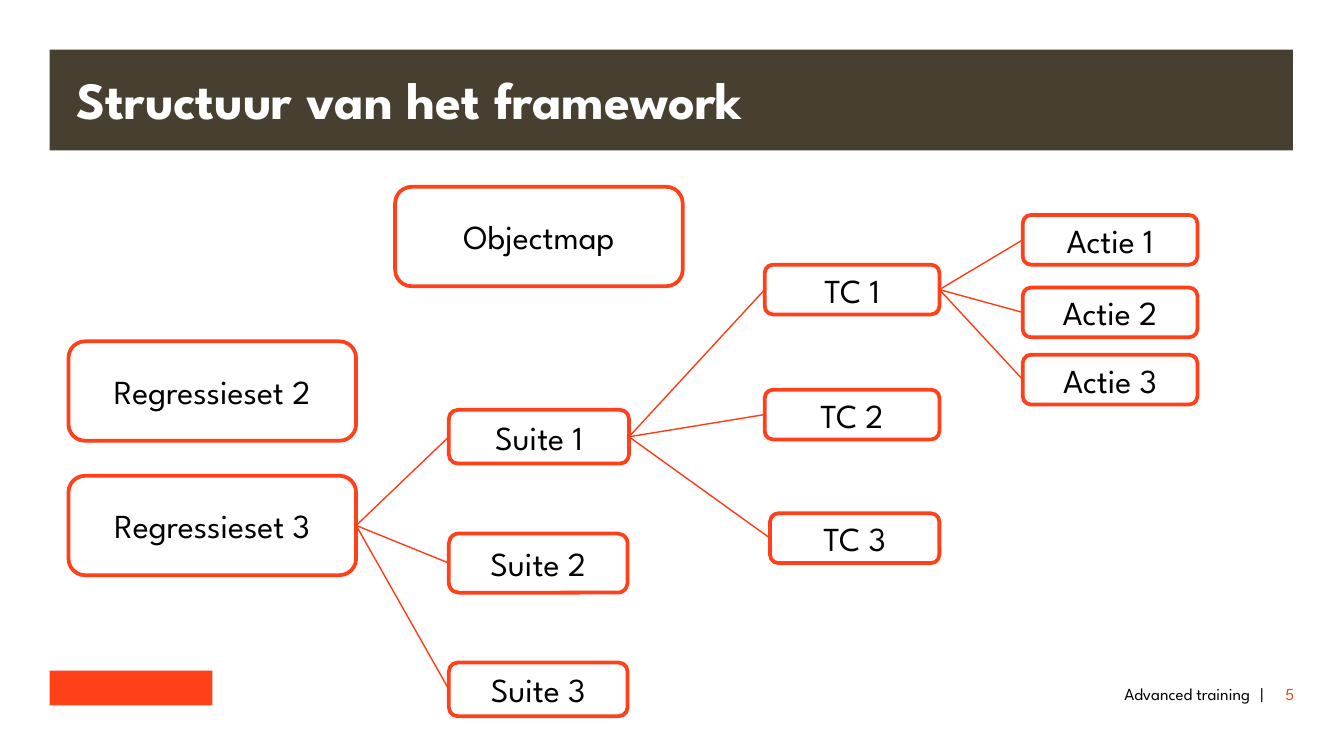
"""Build a slide with a tree of regression sets, suites, test cases and actions."""
import pptx
import pptx.dml.color
import pptx.enum.shapes
import pptx.enum.text
import pptx.oxml.ns
import pptx.util
from lxml import etree

Inches = pptx.util.Inches
Pt = pptx.util.Pt
SHAPE = pptx.enum.shapes.MSO_SHAPE
ALIGN = pptx.enum.text.PP_ALIGN
ANCHOR = pptx.enum.text.MSO_ANCHOR

FONT = "League Spartan"
COLORS = {
    "band": "474030",
    "accent": "FF4019",
    "link": "FF3B13",
    "white": "FFFFFF",
    "black": "000000",
}
BOXES = {
    "Objectmap": (2.94, 1.39, 2.14, 0.74),
    "Regressieset 2": (0.51, 2.54, 2.14, 0.74),
    "Regressieset 3": (0.51, 3.54, 2.14, 0.74),
    "Suite 1": (3.34, 3.05, 1.34, 0.4),
    "Suite 2": (3.34, 3.97, 1.33, 0.44),
    "Suite 3": (3.34, 4.93, 1.33, 0.4),
    "TC 1": (5.69, 1.97, 1.3, 0.37),
    "TC 2": (5.69, 2.9, 1.3, 0.37),
    "TC 3": (5.73, 3.82, 1.26, 0.37),
    "Actie 1": (7.61, 1.6, 1.3, 0.37),
    "Actie 2": (7.61, 2.14, 1.3, 0.37),
    "Actie 3": (7.61, 2.64, 1.3, 0.37),
}
BRANCHES = {"Regressieset 3": "Suite", "Suite 1": "TC", "TC 1": "Actie"}
FOOTER = [
    ("Advanced training", (2.06, 5.04, 7.24, 0.21), ALIGN.RIGHT, "black"),
    ("|", (9.3, 5.04, 0.18, 0.21), ALIGN.CENTER, "black"),
    ("5", (9.39, 5.04, 0.24, 0.21), ALIGN.RIGHT, "accent"),
]


def rgb(name):
    return pptx.dml.color.RGBColor.from_string(COLORS[name])


def write(sp, text, size=18, color="black", bold=False, align=ALIGN.CENTER,
          anchor=ANCHOR.MIDDLE, margins=(0.1, 0.05), spacing=None):
    tf = sp.text_frame
    tf.word_wrap = True
    tf.vertical_anchor = anchor
    tf.margin_left = tf.margin_right = Inches(margins[0])
    tf.margin_top = tf.margin_bottom = Inches(margins[1])
    p = tf.paragraphs[0]
    p.alignment = align
    if spacing:
        p.line_spacing = Pt(spacing)
    r = p.add_run()
    r.text = text
    r.font.name = FONT
    r.font.size = Pt(size)
    r.font.bold = bold
    r.font.color.rgb = rgb(color)


def add_box(s, kind, place, fill, line=None):
    sp = s.shapes.add_shape(kind, *map(Inches, place))
    sp.shadow.inherit = False
    sp.fill.solid()
    sp.fill.fore_color.rgb = rgb(fill)
    if line:
        sp.line.color.rgb = rgb(line)
        sp.line.width = Pt(2)
    else:
        sp.line.fill.background()
    return sp


def add_node(s, text, place):
    sp = add_box(s, SHAPE.ROUNDED_RECTANGLE, place, "white", "accent")
    write(sp, text)
    return sp


def add_link(s, parent, child):
    link = s.shapes.add_connector(
        pptx.enum.shapes.MSO_CONNECTOR.STRAIGHT, 0, 0, 0, 0)
    link.begin_connect(parent, 3)
    link.end_connect(child, 1)
    link.line.color.rgb = rgb("link")
    link.line.width = Pt(0.75)
    etree.SubElement(link._element.spPr, pptx.oxml.ns.qn("a:effectLst"))


def add_footer(s, text, place, align, color):
    sp = s.shapes.add_textbox(*map(Inches, place))
    write(sp, text, size=9, color=color, align=align, anchor=ANCHOR.TOP,
          margins=(0, 0), spacing=14)


def main():
    prs = pptx.Presentation()
    prs.slide_width = Inches(10)
    prs.slide_height = Inches(10 * 9 / 16)
    s = prs.slides.add_slide(prs.slide_layouts[6])

    add_box(s, SHAPE.RECTANGLE, (0.37, 4.99, 1.21, 0.26), "accent")
    title = add_box(s, SHAPE.RECTANGLE, (0.37, 0.37, 9.25, 0.75), "band")
    write(title, "Structuur van het framework", size=28, color="white",
          bold=True, align=ALIGN.LEFT, margins=(0.2, 0), spacing=32)
    for item in FOOTER:
        add_footer(s, *item)

    nodes = {text: add_node(s, text, place) for text, place in BOXES.items()}
    for parent, child in BRANCHES.items():
        for number in range(1, 4):
            add_link(s, nodes[parent], nodes[f"{child} {number}"])

    prs.save("out.pptx")


if __name__ == "__main__":
    main()
